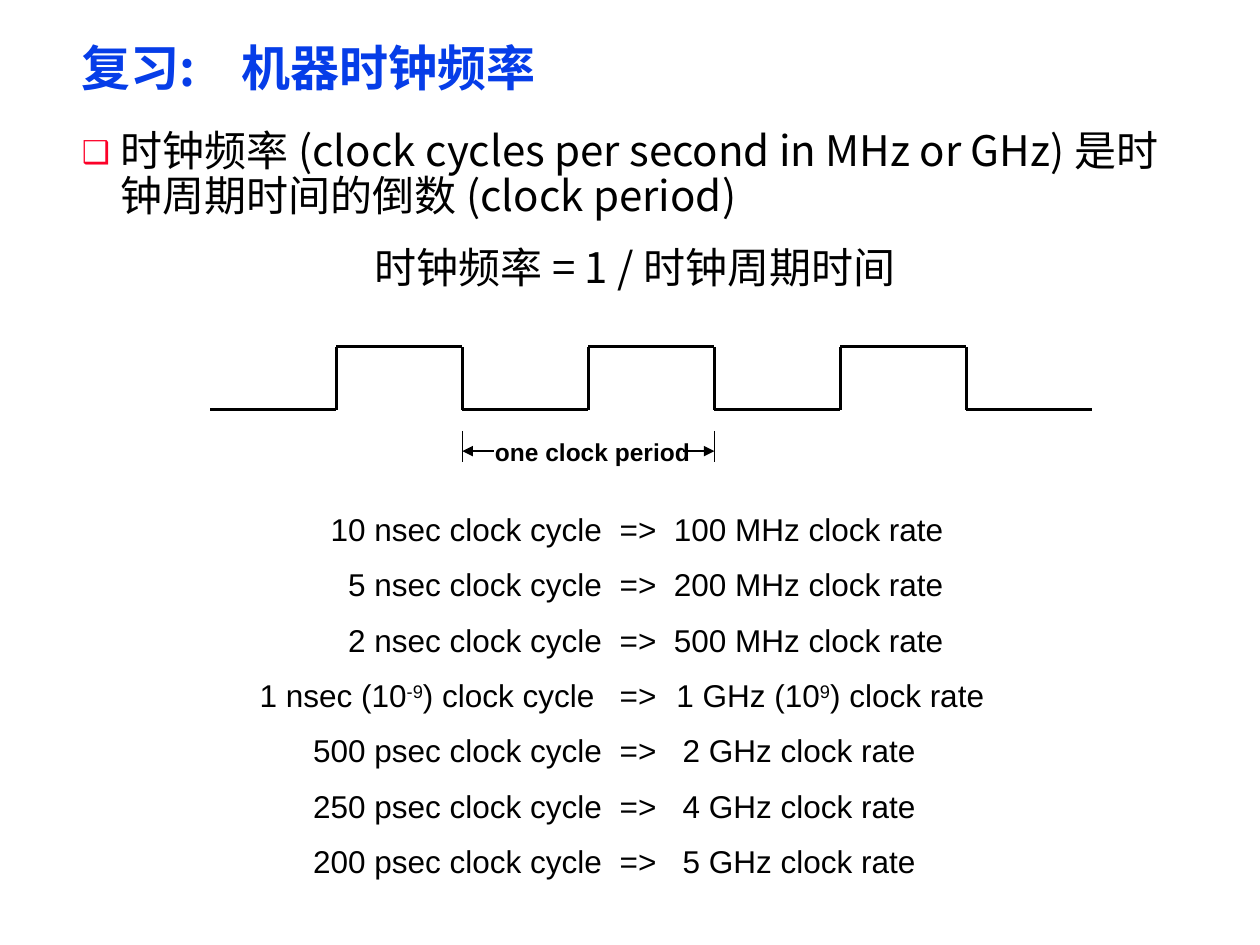
from pptx import Presentation
from pptx.dml.color import RGBColor
from pptx.enum.shapes import MSO_CONNECTOR
from pptx.enum.text import MSO_ANCHOR, MSO_AUTO_SIZE, PP_ALIGN
from pptx.oxml.ns import qn
from pptx.util import Inches, Pt
from lxml import etree

STRAIGHT = MSO_CONNECTOR.STRAIGHT
TOP = MSO_ANCHOR.TOP
GROW = MSO_AUTO_SIZE.SHAPE_TO_FIT_TEXT
LEFT, CENTER = PP_ALIGN.LEFT, PP_ALIGN.CENTER

COLORS = {"title": "063DE8", "bullet": "FC0128", "ink": "000000"}
CHINESE_FONT, LATIN_FONT = "Noto Sans CJK SC", "Arial"

WAVE_LEFT, WAVE_HIGH, WAVE_LOW = 1.67, 2.75, 3.25
HALF_PERIOD, HALF_PERIODS = 1, 7
MARK_TOP, MARK_MIDDLE, MARK_BOTTOM, ARROW_LENGTH = 3.42, 3.58, 3.67, 0.25

SIGN_STOP = 2.99
# Each row: clock cycle, clock rate, right edge of the cycle, left edge of the rate.
# A caret pair encloses a superscript.
RATES = [
    ("10 nsec clock cycle", "100 MHz clock rate", 2.85, 3.42),
    ("5 nsec clock cycle", "200 MHz clock rate", 2.85, 3.42),
    ("2 nsec clock cycle", "500 MHz clock rate", 2.85, 3.42),
    ("1 nsec (10^-9^) clock cycle", "1 GHz (10^9^) clock rate", 2.79, 3.44),
    ("500 psec clock cycle", "2 GHz clock rate", 2.85, 3.49),
    ("250 psec clock cycle", "4 GHz clock rate", 2.85, 3.49),
    ("200 psec clock cycle", "5 GHz clock rate", 2.85, 3.49),
]


def add_child(parent, tag, **attributes):
    child = etree.SubElement(parent, qn(tag))
    for name, value in attributes.items():
        child.set(name, str(value))
    return child


def set_font(paragraph, name, size, color="ink", bold=False):
    font = paragraph.font
    font.name, font.size, font.bold = name, Pt(size), bold
    font.color.rgb = RGBColor.from_string(COLORS[color])
    add_child(paragraph._p.pPr.find(qn("a:defRPr")), "a:ea", typeface=name)


def add_tabs(paragraph, *stops):
    """Set tab stops, each given as a position in inches and an alignment."""
    tabs = add_child(paragraph._p.get_or_add_pPr(), "a:tabLst")
    for position, alignment in stops:
        add_child(tabs, "a:tab", pos=Inches(position), algn=alignment)


def add_bullet(paragraph, character):
    properties = paragraph._p.get_or_add_pPr()
    properties.set("marL", str(Inches(0.31)))
    properties.set("indent", str(-Inches(0.31)))
    color = add_child(properties, "a:buClr")
    add_child(color, "a:srgbClr", val=COLORS["bullet"])
    add_child(properties, "a:buSzPct", val=75000)
    add_child(properties, "a:buFont", typeface=CHINESE_FONT)
    add_child(properties, "a:buChar", char=character)


def set_frame(frame, margins=None, wrap=True):
    frame.word_wrap, frame.auto_size = wrap, GROW
    frame.vertical_anchor = TOP
    if margins:
        frame.margin_left = frame.margin_right = Inches(margins[0])
        frame.margin_top = frame.margin_bottom = Inches(margins[1])


def add_text_box(slide, left, top, width, height, margins=None, wrap=True):
    box = slide.shapes.add_textbox(*map(Inches, (left, top, width, height)))
    set_frame(box.text_frame, margins, wrap)
    return box.text_frame


def next_paragraph(frame, index, space):
    """Return the first paragraph, or a new one with space before it."""
    if index == 0:
        return frame.paragraphs[0]
    paragraph = frame.add_paragraph()
    paragraph.space_before = Pt(space)
    return paragraph


def add_line(slide, start, end, width, arrow=False):
    line = slide.shapes.add_connector(STRAIGHT, *map(Inches, (*start, *end)))
    line.line.color.rgb = RGBColor.from_string(COLORS["ink"])
    line.line.width = Pt(width)
    if arrow:
        add_child(line.line._get_or_add_ln(), "a:tailEnd", type="triangle")
    add_child(line._element.spPr, "a:effectLst")


def add_title(slide):
    title = slide.shapes.title
    title.left, title.top = Inches(0.58), Inches(0.33)
    title.width, title.height = Inches(7.17), Inches(0.46)
    set_frame(title.text_frame, (0.07, 0.03))
    paragraph = title.text_frame.paragraphs[0]
    paragraph.text = "复习:\t机器时钟频率"
    paragraph.alignment, paragraph.line_spacing = LEFT, 0.87
    add_tabs(paragraph, (1.27, "l"))
    set_font(paragraph, CHINESE_FONT, 28, "title", True)


def add_definition(slide):
    frame = add_text_box(slide, 0.58, 1, 8.92, 1.41, (0.07, 0.03))
    texts = ["时钟频率 (clock cycles per second in MHz or GHz) 是时钟周期时间的倒数 (clock period)",
             "时钟频率 = 1 / 时钟周期时间"]
    for index, text in enumerate(texts):
        paragraph = next_paragraph(frame, index, 15)
        paragraph.text, paragraph.line_spacing = text, 0.9
        if index == 0:
            add_bullet(paragraph, "❑")
        else:
            paragraph.alignment = CENTER
        set_font(paragraph, CHINESE_FONT, 24)


def add_clock_wave(slide):
    for step in range(HALF_PERIODS):
        left = WAVE_LEFT + step * HALF_PERIOD
        level = WAVE_HIGH if step % 2 else WAVE_LOW
        add_line(slide, (left, level), (left + HALF_PERIOD, level), 1.5)
        if step:
            add_line(slide, (left, WAVE_LOW), (left, WAVE_HIGH), 1.5)


def add_period_mark(slide):
    start = WAVE_LEFT + 2 * HALF_PERIOD
    end = start + 2 * HALF_PERIOD
    for edge, inner in ((start, start + ARROW_LENGTH), (end, end - ARROW_LENGTH)):
        add_line(slide, (edge, MARK_TOP), (edge, MARK_BOTTOM), 1)
        add_line(slide, (inner, MARK_MIDDLE), (edge, MARK_MIDDLE), 1, arrow=True)
    frame = add_text_box(slide, 3.83, MARK_TOP, 1.75, 0.33, wrap=False)
    frame.text = "one clock period"
    set_font(frame.paragraphs[0], LATIN_FONT, 14, bold=True)


def add_rates(slide):
    frame = add_text_box(slide, 1.83, 4, 6.5, 3.13)
    for index, (cycle, rate, cycle_end, rate_start) in enumerate(RATES):
        paragraph = next_paragraph(frame, index, 10)
        add_tabs(paragraph, (cycle_end, "r"), (SIGN_STOP, "l"), (rate_start, "l"))
        for part, text in enumerate(f"\t{cycle}\t=>\t{rate}".split("^")):
            run = paragraph.add_run()
            run.text = text
            if part % 2:
                run.font._element.set("baseline", "30000")
        set_font(paragraph, LATIN_FONT, 18)


def main():
    presentation = Presentation()
    presentation.slide_width, presentation.slide_height = Inches(10), Inches(7.5)
    slide = presentation.slides.add_slide(presentation.slide_layouts[5])
    add_title(slide)
    add_definition(slide)
    add_clock_wave(slide)
    add_period_mark(slide)
    add_rates(slide)
    presentation.save("out.pptx")


if __name__ == "__main__":
    main()
